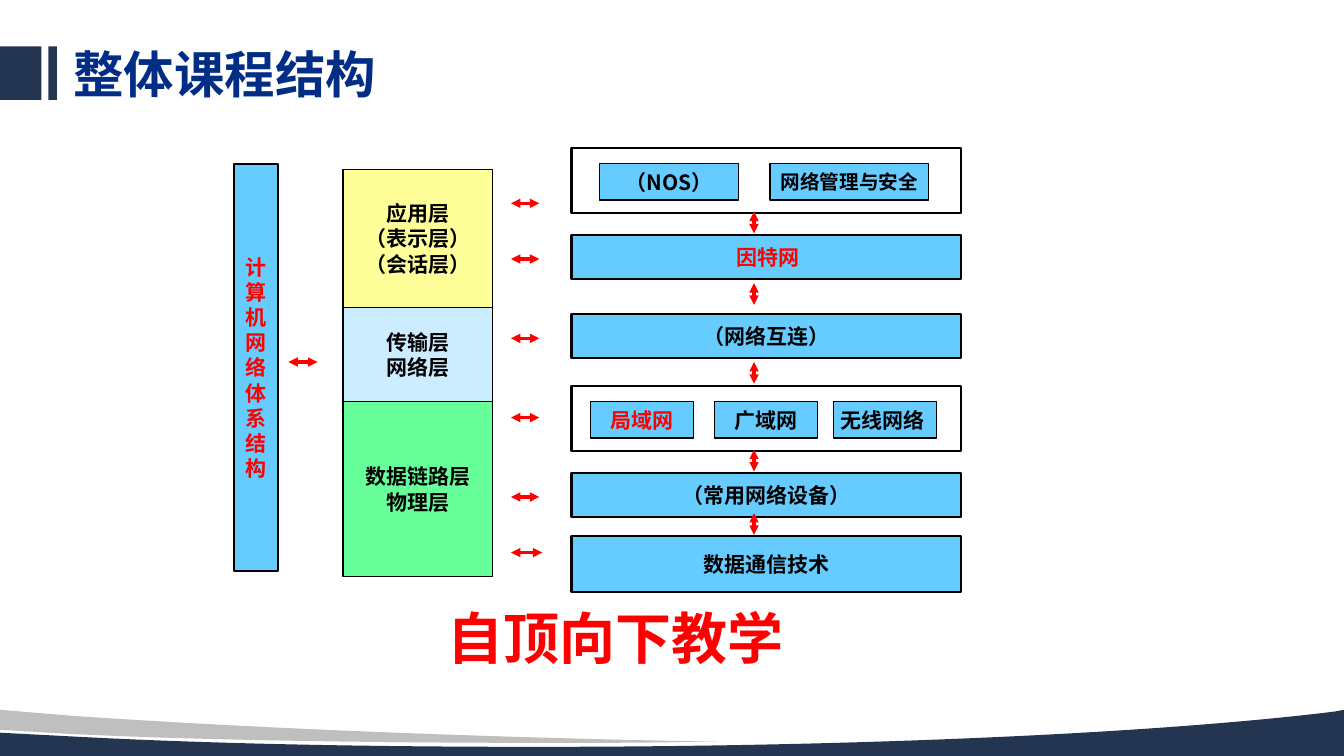
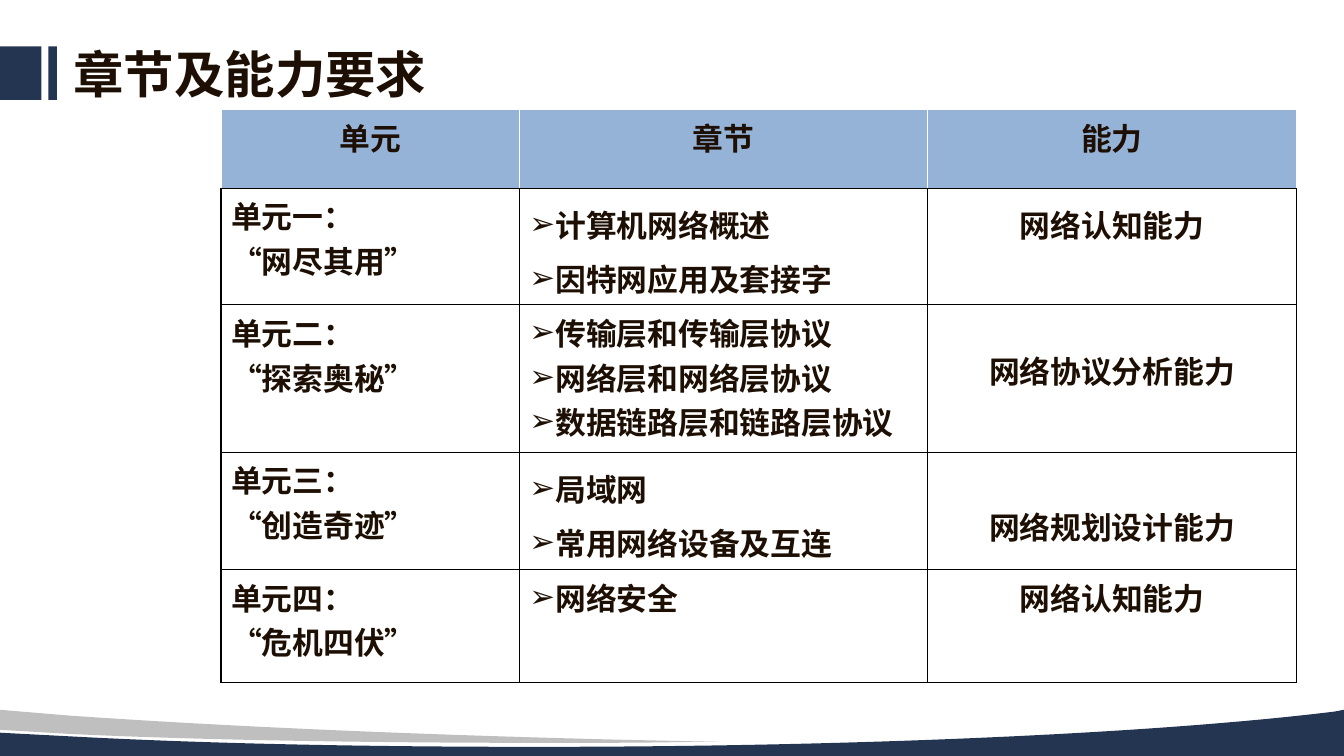
from dataclasses import dataclass

from lxml import etree
from pptx import Presentation
from pptx.dml.color import RGBColor
from pptx.enum import shapes, text
from pptx.oxml import ns
from pptx.util import Pt


@dataclass(frozen=True)
class Theme:
    navy: str = "243551"
    grey: str = "BFBFBF"
    white: str = "FFFFFF"
    black: str = "000000"
    red: str = "FF0000"
    title_blue: str = "012D86"
    brown: str = "1D0F03"
    sky: str = "66CCFF"
    yellow: str = "FFFF99"
    pale: str = "CCECFF"
    green: str = "66FF99"
    header: str = "95B3D7"
    cjk: str = "Noto Sans CJK SC"
    title_cjk: str = "Noto Sans CJK JP"
    layer_font: str = "DejaVu Sans"
    title_size: float = 36
    slogan_size: float = 40
    box_size: float = 15
    small_size: float = 14
    table_size: float = 22
    thin: float = 1
    medium: float = 1.5
    thick: float = 2.25


T = Theme()
CENTER, JUSTIFY = text.PP_ALIGN.CENTER, text.PP_ALIGN.JUSTIFY
MIDDLE = text.MSO_ANCHOR.MIDDLE

# Each outline is a list of points (2 numbers) and cubic curves (6 numbers).
WAVE_TOP = 507
WAVES = [
    (T.navy, [(960, 507), (960, 540), (0, 540), (0, 523.4), (55.4, 526.3),
              (152.6, 531.4, 264.2, 533.5, 383, 533.5),
              (620.6, 533.5, 830.2, 523.4, 953.3, 508.3)]),
    (T.grey, [(0, 507), (50.4, 511.2),
              (164.9, 519.1, 300.2, 524.9, 447.8, 528.5),
              (514.8, 529.9), (492.5, 529.9),
              (460.8, 530.6, 427.7, 530.6, 394.6, 530.6),
              (259.9, 530.6, 138.2, 528.5, 49.7, 524.2), (0, 521.3)]),
]
TITLE_BARS = [(0, 29.6), (34.6, 6.1)]

ARCHITECTURE = "计算机网络体系结构"
LAYERS = [  # lines, fill, height
    (["应用层", "（表示层）", "（会话层）"], T.yellow, 98.6),
    (["传输层", "网络层"], T.pale, 67.2),
    (["数据链路层", "物理层"], T.green, 125.1),
]
TOPICS = [  # text, colour, top, height
    (" 因特网", T.red, 167.9, 31.2),
    ("（网络互连）", T.black, 224.6, 31.2),
    ("（常用网络设备）", T.black, 338, 31.2),
    ("数据通信技术", T.black, 383, 40),
]
GROUPS = [  # frame top, items: text, colour, size, left, width
    (105.8, [("（NOS）", T.black, T.box_size, 428, 99.4),
             ("网络管理与安全", T.black, T.small_size, 550, 113.3)]),
    (275.8, [("局域网", T.red, T.box_size, 422, 73.4),
             ("广域网", T.black, T.box_size, 510.5, 73.4),
             ("无线网络 ", T.black, T.box_size, 595.4, 73.4)]),
]
TOPIC_LEFT, TOPIC_WIDTH = 408.2, 278
LAYER_LEFT, LAYER_TOP, LAYER_WIDTH = 245, 121, 106.6
ACROSS_ARROWS = [(206, 258.6, 20.8), (365, 145.2, 20.2), (365, 185, 20.2),
                 (365, 241.7, 20.2), (365, 298.3, 20.2), (365, 355, 20.2),
                 (365, 394.7, 22.4)]
DOWN_X, DOWN_LENGTH = 538.6, 15.5
DOWN_TOPS = [151.2, 202.3, 258.6, 321.3, 366.5]

HEADINGS = ["单元", "章节", "能力"]
UNITS = [  # unit, chapters, ability, height, loose lines, ability drop
    (["单元一：", "“网尽其用”"], ["计算机网络概述", "因特网应用及套接字"],
     "网络认知能力", 83.4, True, 0),
    (["单元二：", "“探索奥秘”"],
     ["传输层和传输层协议", "网络层和网络层协议", "数据链路层和链路层协议"],
     "网络协议分析能力", 105.2, False, 27),
    (["单元三：", "“创造奇迹”"], ["局域网", "常用网络设备及互连"],
     "网络规划设计能力", 83.8, True, 27),
    (["单元四：", "“危机四伏”"], ["网络安全"], "网络认知能力", 80.9, False, 0),
]
COLUMNS = [213.1, 291.8, 263.1]
HEADER_HEIGHT = 56
BULLET_INDENT = 18.5


def rgb(value):
    return RGBColor.from_string(value)


def assign(target, **values):
    for name, value in values.items():
        setattr(target, name, value)


def paint(shape, fill=None, line=None, width=T.thin):
    shape.shadow.inherit = False
    if fill:
        shape.fill.solid()
        shape.fill.fore_color.rgb = rgb(fill)
    else:
        shape.fill.background()
    if line:
        shape.line.color.rgb = rgb(line)
        shape.line.width = Pt(width)
    else:
        shape.line.fill.background()


def write(tf, lines, size, color, latin, asian=None, **paragraph):
    for i, line in enumerate(lines):
        p = tf.add_paragraph() if i else tf.paragraphs[0]
        assign(p, **paragraph)
        r = p.add_run()
        r.text = line
        assign(r.font, size=Pt(size), bold=True, name=latin)
        r.font.color.rgb = rgb(color)
        rPr = r.font._element
        rPr.set("lang", "zh-CN")
        ea = etree.SubElement(rPr, ns.qn("a:ea"))
        ea.set("typeface", asian or latin)


def add_box(s, at, fill=None, line=T.black, width=T.medium):
    box = s.shapes.add_shape(shapes.MSO_SHAPE.RECTANGLE, *map(Pt, at))
    paint(box, fill, line, width)
    return box


def add_label(s, at, lines, fill, color=T.black, size=T.box_size,
              font=T.cjk, width=T.medium, wrap=True):
    tf = add_box(s, at, fill, width=width).text_frame
    assign(tf, word_wrap=wrap, vertical_anchor=MIDDLE,
           margin_left=Pt(5.8), margin_right=Pt(5.8),
           margin_top=Pt(2.9), margin_bottom=Pt(2.9))
    write(tf, lines, size, color, font, alignment=CENTER)


def add_text(s, at, line, size, color, font, asian, anchor, **paragraph):
    tf = s.shapes.add_textbox(*map(Pt, at)).text_frame
    assign(tf, word_wrap=True, vertical_anchor=anchor)
    write(tf, [line], size, color, font, asian, **paragraph)


def add_arrow(s, x, y, dx, dy):
    """Draw a red line with a head at both ends."""
    line = s.shapes.add_connector(shapes.MSO_CONNECTOR.STRAIGHT,
                                  Pt(x), Pt(y), Pt(x + dx), Pt(y + dy))
    line.line.color.rgb = rgb(T.red)
    line.line.width = Pt(T.thick)
    spPr = line._element.spPr
    ln = spPr.find(ns.qn("a:ln"))
    for end in ("a:headEnd", "a:tailEnd"):
        etree.SubElement(ln, ns.qn(end)).set("type", "triangle")
    etree.SubElement(spPr, ns.qn("a:effectLst"))


def add_wave(s, fill, outline):
    """Build a freeform from the end points, then bend its curved sides."""
    start, *rest = [(Pt(part[-2]), Pt(part[-1])) for part in outline]
    builder = s.shapes.build_freeform(*start, scale=1.0)
    builder.add_line_segments(rest, close=True)
    wave = builder.convert_to_shape()
    paint(wave, fill)
    sides = list(wave._element.iter(ns.qn("a:lnTo")))
    for side, part in zip(sides, outline[1:]):
        if len(part) == 6:
            side.tag = ns.qn("a:cubicBezTo")
            controls = (part[:2], part[2:4])
            for i, (x, y) in enumerate(controls):
                pt = etree.Element(ns.qn("a:pt"), x=str(Pt(x)),
                                   y=str(Pt(y) - Pt(WAVE_TOP)))
                side.insert(i, pt)
    return wave


def decorate(s):
    """Draw the bars and waves, and hand them to the layout of the slide."""
    layout = s.slide_layout
    for placeholder in list(layout.placeholders):
        layout.shapes._spTree.remove(placeholder._element)
    parts = [add_box(s, (left, 33.1, width, 38.2), T.navy, line=None)
             for left, width in TITLE_BARS]
    parts += [add_wave(s, fill, outline) for fill, outline in WAVES]
    for part in parts:
        layout.shapes._spTree.append(part._element)


def add_title(s, title, color, font, asian):
    add_text(s, (45.4, 32.4, 718.6, 46), title, T.title_size, color,
             font, asian, MIDDLE, line_spacing=0.9)


def fill_structure(s):
    add_title(s, "整体课程结构", T.title_blue, T.title_cjk, T.title_cjk)
    add_label(s, (167, 117, 31.7, 290.9), [ARCHITECTURE], T.sky, T.red,
              font=T.layer_font)
    top = LAYER_TOP
    for lines, fill, height in LAYERS:
        add_label(s, (LAYER_LEFT, top, LAYER_WIDTH, height), lines, fill,
                  font=T.layer_font, width=T.thin)
        top += height
    for label, color, top, height in TOPICS:
        add_label(s, (TOPIC_LEFT, top, TOPIC_WIDTH, height), [label],
                  T.sky, color)
    for top, items in GROUPS:
        add_box(s, (TOPIC_LEFT, top, TOPIC_WIDTH, 46.4))
        for label, color, size, left, width in items:
            add_label(s, (left, top + 11.1, width, 26.1), [label], T.sky,
                      color, size, width=T.thin, wrap=False)
    for x, y, length in ACROSS_ARROWS:
        add_arrow(s, x, y, length, 0)
    for top in DOWN_TOPS:
        add_arrow(s, DOWN_X, top, 0, DOWN_LENGTH)
    add_text(s, (155.5, 427.7, 568, 55.4), "自顶向下教学", T.slogan_size, T.red,
             T.title_cjk, T.title_cjk, text.MSO_ANCHOR.TOP, alignment=CENTER)


def fill_cell(cell, lines, fill, edge, drop=0, **paragraph):
    tcPr = cell._tc.get_or_add_tcPr()
    for side in "LRTB":
        ln = etree.SubElement(tcPr, ns.qn("a:ln" + side), w=str(Pt(T.thin)))
        solid = etree.SubElement(ln, ns.qn("a:solidFill"))
        color = T.black if side == "B" else edge
        etree.SubElement(solid, ns.qn("a:srgbClr"), val=color)
    cell.fill.solid()
    cell.fill.fore_color.rgb = rgb(fill)
    assign(cell, margin_left=Pt(7.2), margin_right=Pt(7.2),
           margin_top=Pt(3.6 + drop), margin_bottom=Pt(3.6))
    write(cell.text_frame, lines, T.table_size, T.brown, "Calibri", T.cjk,
          **paragraph)


def add_bullets(tf):
    for p in tf.paragraphs:
        pPr = p._p.get_or_add_pPr()
        pPr.set("marL", str(Pt(BULLET_INDENT)))
        pPr.set("indent", str(-Pt(BULLET_INDENT)))
        etree.SubElement(pPr, ns.qn("a:buFont"), typeface=T.layer_font)
        etree.SubElement(pPr, ns.qn("a:buChar"), char="➢")


def fill_chapters(s):
    add_title(s, "章节及能力要求", T.brown, "Arial", T.cjk)
    heights = [HEADER_HEIGHT] + [unit[3] for unit in UNITS]
    at = (157.9, 78.4, sum(COLUMNS), sum(heights))
    table = s.shapes.add_table(len(heights), len(COLUMNS), *map(Pt, at)).table
    assign(table, first_row=False, horz_banding=False)
    for column, width in zip(table.columns, COLUMNS):
        column.width = Pt(width)
    for row, height in zip(table.rows, heights):
        row.height = Pt(height)
    for i, heading in enumerate(HEADINGS):
        fill_cell(table.cell(0, i), [heading], T.header, T.white,
                  alignment=CENTER)
    for i, (unit, chapters, ability, _, loose, drop) in enumerate(UNITS, 1):
        spacing = {"line_spacing": 1.2} if loose else {}
        justify = {"alignment": JUSTIFY} if loose else {}
        fill_cell(table.cell(i, 0), unit, T.white, T.black)
        fill_cell(table.cell(i, 1), chapters, T.white, T.black,
                  **justify, **spacing)
        add_bullets(table.cell(i, 1).text_frame)
        fill_cell(table.cell(i, 2), [ability], T.white, T.black, drop,
                  alignment=CENTER, **spacing)


def main():
    prs = Presentation()
    assign(prs, slide_width=Pt(960), slide_height=Pt(540))
    blank = prs.slide_layouts[6]
    structure, chapters = [prs.slides.add_slide(blank) for _ in range(2)]
    decorate(structure)
    fill_structure(structure)
    fill_chapters(chapters)
    prs.save("out.pptx")


if __name__ == "__main__":
    main()
